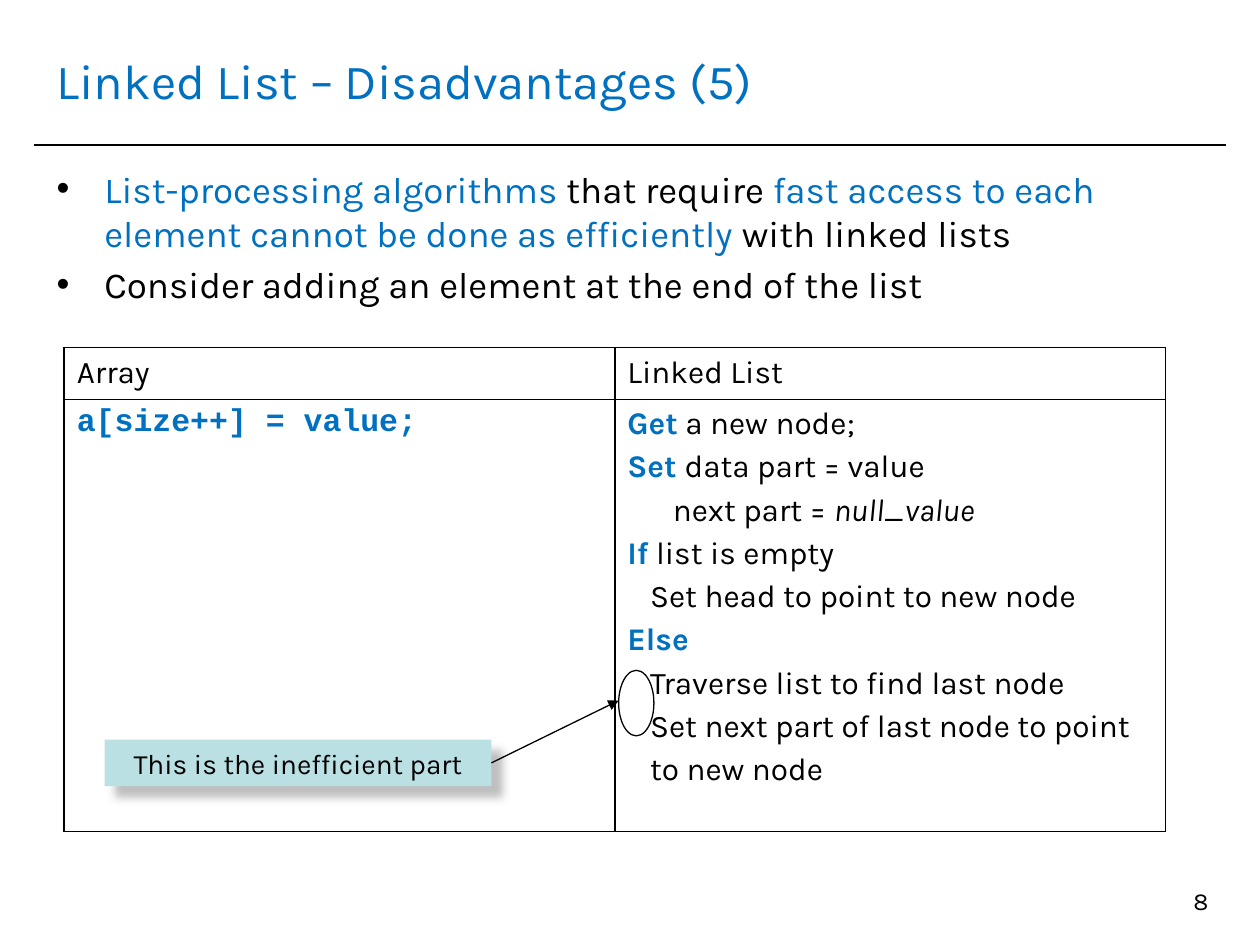
"""Build the slide on the disadvantages of linked lists."""
from dataclasses import dataclass
from typing import Any

from lxml.etree import SubElement
from pptx import Presentation
from pptx.dml.color import RGBColor
from pptx.enum.shapes import MSO_CONNECTOR, MSO_SHAPE
from pptx.enum.text import MSO_ANCHOR, PP_ALIGN
from pptx.oxml import parse_xml
from pptx.oxml.ns import nsdecls, qn
from pptx.util import Inches, Pt


@dataclass(frozen=True)
class Theme:
    font: str = "Karla"
    code: str = "Courier New"
    blue: str = "0070C0"
    black: str = "000000"
    white: str = "FFFFFF"
    callout: str = "BBE0E3"
    shadow: str = "808080"
    title_size: float = 28
    body_size: float = 21
    table_size: float = 18
    note_size: float = 16
    number_size: float = 14


T = Theme()


@dataclass(frozen=True)
class Run:
    text: str
    color: str = T.black
    bold: bool = False
    italic: bool = False
    font: str = T.font


@dataclass(frozen=True)
class Para:
    runs: tuple[Run, ...]
    indent: float = 0
    bullet: bool = False


def plain(text: str, indent: float = 0, bullet: bool = False) -> Para:
    return Para((Run(text),), indent, bullet)


def keyword(word: str, rest: str = "") -> Para:
    runs = (Run(word, T.blue, bold=True), Run(rest))
    return Para(runs if rest else runs[:1])


STEP = 0.18
TITLE = (Para((Run("Linked List – Disadvantages (5)", T.blue),)),)
BULLETS = (
    Para((
        Run("List-processing algorithms ", T.blue),
        Run("that require "),
        Run("fast access to each element cannot be done as efficiently ", T.blue),
        Run("with linked lists"),
    ), 0.38, True),
    plain("Consider adding an element at the end of the list", 0.38, True),
)
ARRAY_CODE = (Para((Run("a[size++] = value;", T.blue, bold=True, font=T.code),)),)
LIST_STEPS = (
    keyword("Get", " a new node;"),
    keyword("Set ", "data part = value"),
    Para((Run("next part = "), Run("null_value", italic=True)), 2 * STEP),
    keyword("If", " list is empty"),
    plain("Set head to point to new node", STEP),
    keyword("Else"),
    plain("Traverse list to find last node", STEP),
    plain("Set next part of last node to point", STEP),
    plain("to new node", STEP),
)
ROWS = (
    ((plain("Array"),), (plain("Linked List"),)),
    (ARRAY_CODE, LIST_STEPS),
)
COL_WIDTH = 4.37
ROW_HEIGHTS = (0.41, 3.43)


def write(tf: Any, paras: tuple[Para, ...], size: float, align: Any = PP_ALIGN.LEFT) -> None:
    tf.word_wrap = True
    for i, para in enumerate(paras):
        p = tf.add_paragraph() if i else tf.paragraphs[0]
        p.alignment = align
        if i:
            p.space_before = Pt(round(size * 0.2, 1))
        pPr = p._p.get_or_add_pPr()
        if para.indent:
            pPr.set("marL", str(Inches(para.indent)))
        if para.bullet:
            pPr.set("indent", str(-Inches(para.indent)))
            color = SubElement(pPr, qn("a:buClr"))
            SubElement(color, qn("a:srgbClr"), val=T.black)
            SubElement(pPr, qn("a:buFont"), typeface="Arial")
            SubElement(pPr, qn("a:buChar"), char="•")
        for run in para.runs:
            r = p.add_run()
            r.text = run.text
            r.font.name = run.font
            r.font.size = Pt(size)
            r.font.bold = run.bold
            r.font.italic = run.italic
            r.font.color.rgb = RGBColor.from_string(run.color)


def add_text(s: Any, box: tuple[float, ...], paras: tuple[Para, ...], size: float,
             align: Any = PP_ALIGN.LEFT, anchor: Any = MSO_ANCHOR.TOP) -> Any:
    tf = s.shapes.add_textbox(*map(Inches, box)).text_frame
    tf.vertical_anchor = anchor
    write(tf, paras, size, align)
    return tf


def add_shape(s: Any, kind: Any, box: tuple[float, ...]) -> Any:
    sp = s.shapes.add_shape(kind, *map(Inches, box))
    sp.shadow.inherit = False
    return sp


def add_line(s: Any, start: tuple[float, float], end: tuple[float, float], width: float) -> Any:
    ln = s.shapes.add_connector(MSO_CONNECTOR.STRAIGHT, *map(Inches, start + end))
    ln.line.color.rgb = RGBColor.from_string(T.black)
    ln.line.width = Pt(width)
    SubElement(ln._element.spPr, qn("a:effectLst"))
    return ln


def add_borders(cell: Any) -> None:
    tcPr = cell._tc.get_or_add_tcPr()
    for i, side in enumerate(("lnL", "lnR", "lnT", "lnB")):
        tcPr.insert(i, parse_xml(
            f'<a:{side} {nsdecls("a")} w="{Pt(1)}"><a:solidFill>'
            f'<a:srgbClr val="{T.black}"/></a:solidFill></a:{side}>'))


def add_comparison(s: Any) -> None:
    box = map(Inches, (0.51, 2.76, 2 * COL_WIDTH, sum(ROW_HEIGHTS)))
    table = s.shapes.add_table(2, 2, *box).table
    table.first_row = table.horz_banding = False
    for col in table.columns:
        col.width = Inches(COL_WIDTH)
    for i, (row, height) in enumerate(zip(ROWS, ROW_HEIGHTS)):
        table.rows[i].height = Inches(height)
        for j, paras in enumerate(row):
            cell = table.cell(i, j)
            cell.fill.solid()
            cell.fill.fore_color.rgb = RGBColor.from_string(T.white)
            add_borders(cell)
            write(cell.text_frame, paras, T.table_size)


def add_callout(s: Any) -> None:
    ring = add_shape(s, MSO_SHAPE.OVAL, (4.91, 5.32, 0.28, 0.52))
    ring.fill.background()
    ring.line.color.rgb = RGBColor.from_string(T.black)
    ring.line.width = Pt(0.75)

    note = add_shape(s, MSO_SHAPE.RECTANGLE, (0.83, 5.87, 3.07, 0.37))
    note.fill.solid()
    note.fill.fore_color.rgb = RGBColor.from_string(T.callout)
    note.line.fill.background()
    effects = note._element.spPr.find(qn("a:effectLst"))
    shadow = SubElement(effects, qn("a:outerShdw"), blurRad=str(Pt(5)), dist=str(Pt(8.5)),
                        dir=str(45 * 60000), algn="ctr", rotWithShape="0")
    color = SubElement(shadow, qn("a:srgbClr"), val=T.shadow)
    SubElement(color, qn("a:alpha"), val="50000")
    note.text_frame.vertical_anchor = MSO_ANCHOR.MIDDLE
    write(note.text_frame, (plain("This is the inefficient part"),), T.note_size, PP_ALIGN.CENTER)

    arrow = add_line(s, (3.9, 6.06), (4.91, 5.56), 0.75)
    arrow.begin_connect(note, 3)
    SubElement(arrow.line._get_or_add_ln(), qn("a:tailEnd"), type="triangle")


def main() -> None:
    prs = Presentation()
    prs.slide_width, prs.slide_height = Inches(10), Inches(7.5)
    s = prs.slides.add_slide(prs.slide_layouts[6])
    add_line(s, (0.27, 1.15), (9.73, 1.15), 1)
    add_text(s, (0.35, 0.21, 9.29, 0.85), TITLE, T.title_size, anchor=MSO_ANCHOR.MIDDLE)
    body = add_text(s, (0.35, 1.23, 9.29, 1.34), BULLETS, T.body_size)
    body.margin_top = Inches(0.09)
    add_text(s, (7.36, 6.98, 2.33, 0.52), (plain("8"),), T.number_size, PP_ALIGN.RIGHT)
    add_comparison(s)
    add_callout(s)
    prs.save("out.pptx")


if __name__ == "__main__":
    main()
